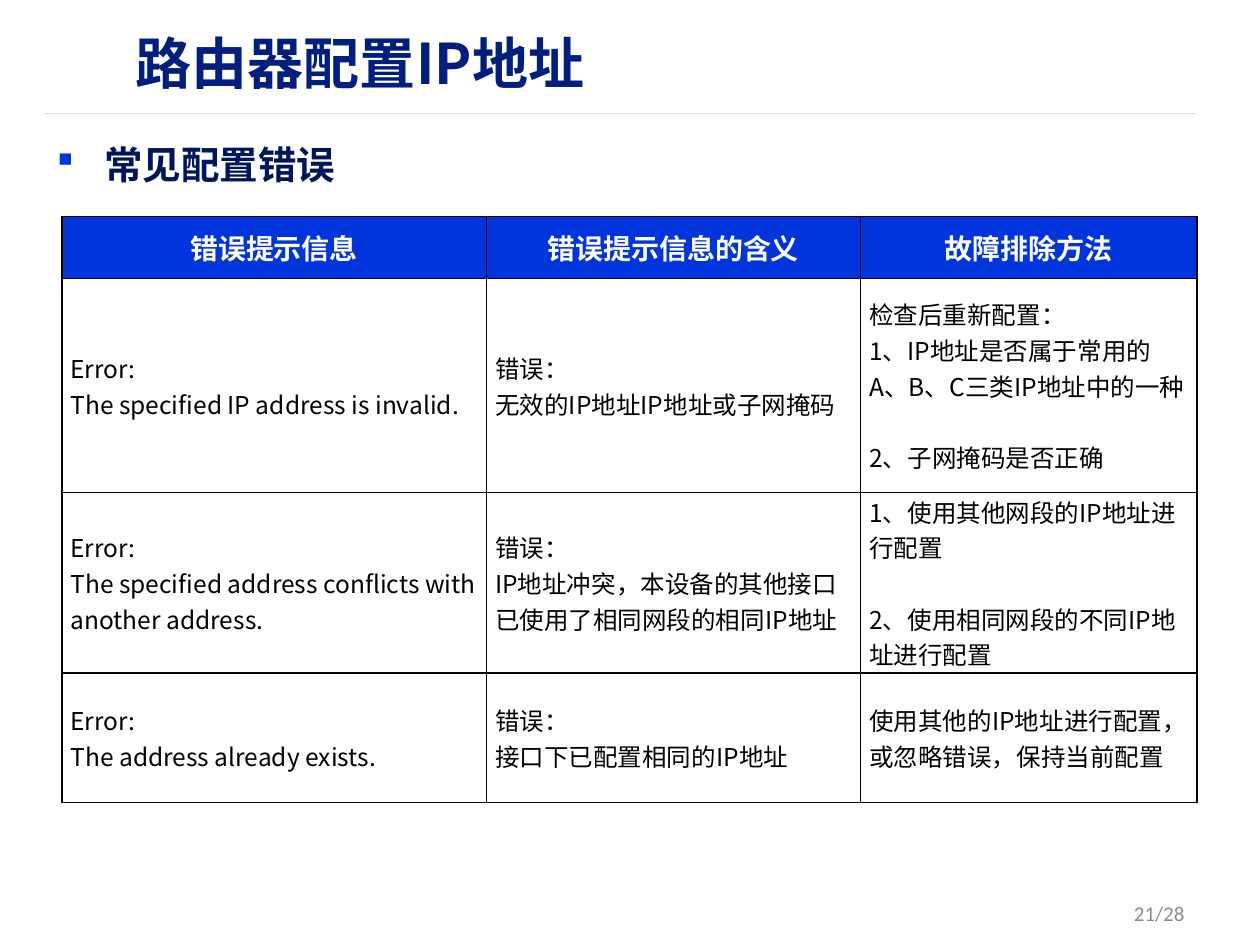
import pptx
import pptx.dml.color
import pptx.enum.shapes
import pptx.enum.text
import pptx.oxml.ns
import pptx.util
from lxml import etree

Inches = pptx.util.Inches
Pt = pptx.util.Pt
RGBColor = pptx.dml.color.RGBColor
ALIGN = pptx.enum.text.PP_ALIGN
MIDDLE = pptx.enum.text.MSO_ANCHOR.MIDDLE
qn = pptx.oxml.ns.qn

NAVY = RGBColor(0x00, 0x1E, 0x7F)
DARK_NAVY = RGBColor(0x00, 0x16, 0x5C)
BLUE = RGBColor(0x00, 0x34, 0xDC)
WHITE = RGBColor(0xFF, 0xFF, 0xFF)
BLACK = RGBColor(0x00, 0x00, 0x00)
BORDER = RGBColor(0x08, 0x00, 0x00)
RULE_GRAY = RGBColor(0xD9, 0xD9, 0xD9)
NUMBER_GRAY = RGBColor(0x8C, 0x8C, 0x8C)

HEADINGS = ["错误提示信息", "错误提示信息的含义", "故障排除方法"]
ERRORS = [
    [["Error:", "The specified IP address is invalid."],
     ["错误：", "无效的IP地址IP地址或子网掩码"],
     ["检查后重新配置：", "1、IP地址是否属于常用的A、B、C三类IP地址中的一种",
      "2、子网掩码是否正确"]],
    [["Error:", "The specified address conflicts with another address."],
     ["错误：", "IP地址冲突，本设备的其他接口已使用了相同网段的相同IP地址"],
     ["1、使用其他网段的IP地址进行配置", "2、使用相同网段的不同IP地址进行配置"]],
    [["Error:", "The address already exists."],
     ["错误：", "接口下已配置相同的IP地址"],
     ["使用其他的IP地址进行配置，或忽略错误，保持当前配置"]],
]
COLUMN_WIDTHS = [3.37, 2.97, 2.67]
RIGHT_MARGINS = [0.07, 0.09, 0.07]
ROW_HEIGHTS = [0.49, 1.7, 1.43, 1.03]


def add_color(parent, color):
    fill = etree.SubElement(parent, qn("a:solidFill"))
    etree.SubElement(fill, qn("a:srgbClr"), val=str(color))


class SlideBuilder:
    font = "Noto Sans CJK SC"
    step_gap = Pt(20.3)  # one line of 14 pt text

    def __init__(self, page):
        self.page = page

    def style(self, para, size, color, bold=False, align=ALIGN.LEFT, font=None):
        para.alignment = align
        para.font.size = Pt(size)
        para.font.bold = bold
        para.font.color.rgb = color
        para.font.name = font or self.font
        properties = para._p.pPr.find(qn("a:defRPr"))
        etree.SubElement(properties, qn("a:ea"), typeface=font or self.font)

    def bullet(self, para, color, indent):
        """Hang a square bullet, which is § in Wingdings."""
        properties = para._p.get_or_add_pPr()
        properties.set("marL", str(indent))
        properties.set("indent", str(-indent))
        bullet_color = etree.SubElement(properties, qn("a:buClr"))
        etree.SubElement(bullet_color, qn("a:srgbClr"), val=str(color))
        etree.SubElement(properties, qn("a:buFont"), typeface="Wingdings",
                         pitchFamily="2", charset="2")
        etree.SubElement(properties, qn("a:buChar"), char="§")

    def text(self, area, words, size, color, bullet_color=None, anchor=MIDDLE, **style):
        frame = self.page.shapes.add_textbox(*map(Inches, area)).text_frame
        frame.word_wrap = True
        frame.vertical_anchor = anchor
        para = frame.paragraphs[0]
        para.text = words
        if bullet_color is not None:
            self.bullet(para, bullet_color, Inches(0.38))
        self.style(para, size, color, **style)

    def rule(self, left, right, top, color, width):
        line = self.page.shapes.add_connector(
            pptx.enum.shapes.MSO_CONNECTOR.STRAIGHT,
            Inches(left), Inches(top), Inches(right), Inches(top))
        line.line.color.rgb = color
        line.line.width = Pt(width)
        etree.SubElement(line._element.spPr, qn("a:effectLst"))

    def borders(self, cell):
        properties = cell._tc.get_or_add_tcPr()
        for side in ("lnL", "lnR", "lnT", "lnB"):
            edge = etree.SubElement(properties, qn("a:" + side), w=str(Pt(1)))
            add_color(edge, BORDER)

    def cell(self, cell, lines, size, color, fill=None, right_margin=0.07, **style):
        cell.vertical_anchor = MIDDLE
        cell.margin_left = Inches(0.07)
        cell.margin_right = Inches(right_margin)
        cell.margin_top = cell.margin_bottom = 0
        self.borders(cell)
        if fill is None:
            cell.fill.background()
        else:
            cell.fill.solid()
            cell.fill.fore_color.rgb = fill
        cell.text_frame.text = "\n".join(lines)
        for index, para in enumerate(cell.text_frame.paragraphs):
            if index and lines[index].startswith("2、"):
                para.space_before = self.step_gap
            self.style(para, size, color, **style)

    def table(self, left, top, widths, heights, headings, rows):
        table = self.page.shapes.add_table(
            len(heights), len(widths), Inches(left), Inches(top),
            Inches(sum(widths)), Inches(sum(heights))).table
        table.first_row = table.horz_banding = False
        for column, width in zip(table.columns, widths):
            column.width = Inches(width)
        for row, height in zip(table.rows, heights):
            row.height = Inches(height)
        for col, heading in enumerate(headings):
            self.cell(table.cell(0, col), [heading], 16, WHITE, BLUE,
                      bold=True, align=ALIGN.CENTER)
        for row, entries in enumerate(rows, 1):
            for col, lines in enumerate(entries):
                self.cell(table.cell(row, col), lines, 14, BLACK,
                          right_margin=RIGHT_MARGINS[col])


def main():
    deck = pptx.Presentation()
    deck.slide_width, deck.slide_height = Inches(10), Inches(7.5)
    slide = SlideBuilder(deck.slides.add_slide(deck.slide_layouts[6]))
    slide.rule(0.35, 9.49, 0.9, RULE_GRAY, 0.75)
    slide.text((0.98, 0, 8.66, 0.99), "路由器配置IP地址", 32, NAVY, bold=True)
    slide.text((0.35, 1.07, 9.29, 5.89), "常见配置错误", 22, DARK_NAVY, BLUE,
               pptx.enum.text.MSO_ANCHOR.TOP, bold=True)
    slide.table(0.49, 1.72, COLUMN_WIDTHS, ROW_HEIGHTS, HEADINGS, ERRORS)
    slide.text((7.17, 7.05, 2.33, 0.4), "21/28", 12, NUMBER_GRAY,
               align=ALIGN.RIGHT, font="Calibri")
    deck.save("out.pptx")


if __name__ == "__main__":
    main()
